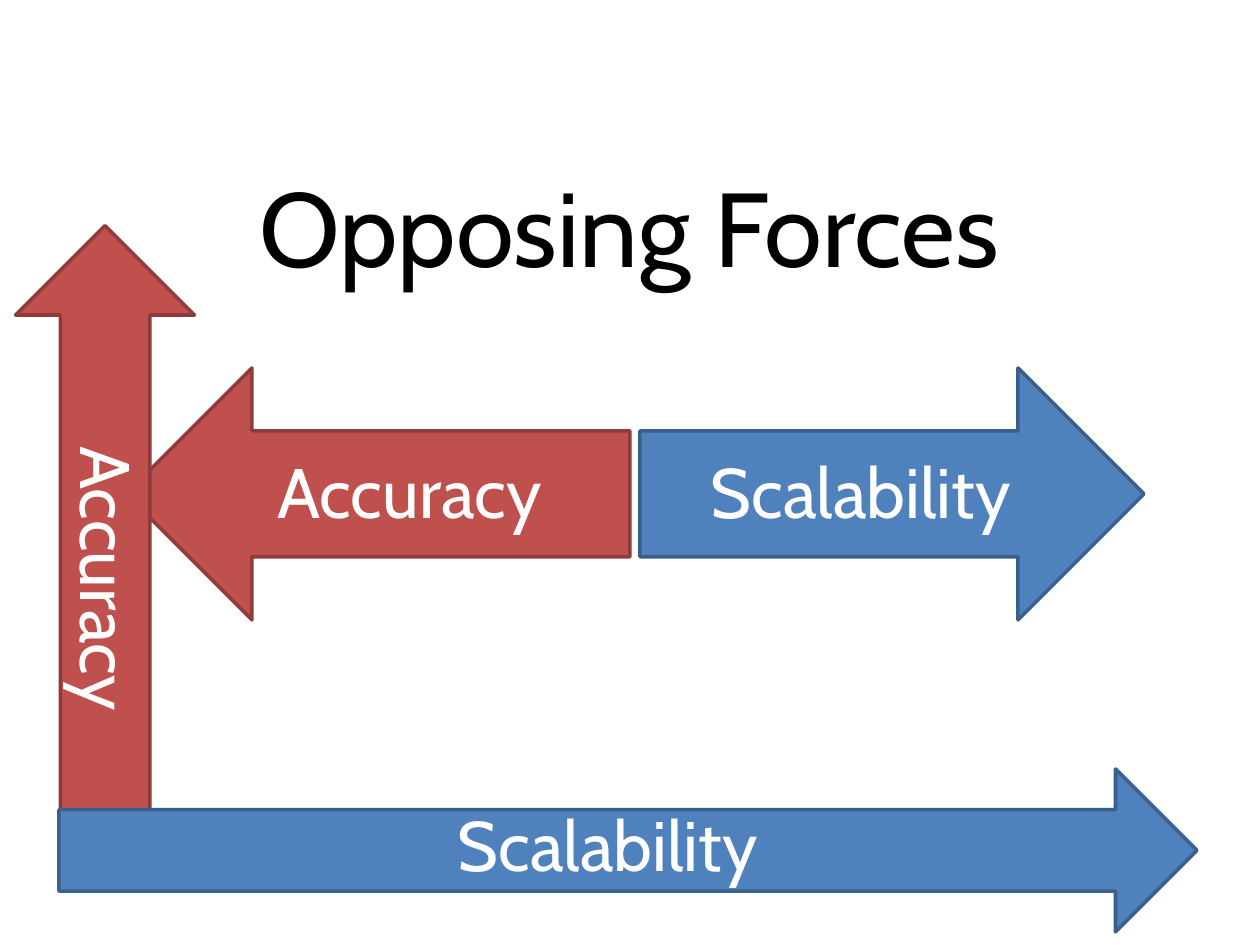
from pptx import Presentation
from pptx.dml.color import RGBColor
from pptx.enum.shapes import MSO_SHAPE
from pptx.enum.text import MSO_ANCHOR, PP_ALIGN
from pptx.util import Emu, Pt

EMU_PER_PX = 914400 / 126
FONT = "Cabin"
COLORS = {
    "text": "000000",
    "label": "FFFFFF",
    "accuracy": "C0504D",
    "accuracy_line": "8E3B39",
    "scalability": "4F81BD",
    "scalability_line": "3A5F8C",
}


def px(length):
    return Emu(round(length * EMU_PER_PX))


def color(name):
    return RGBColor.from_string(COLORS[name])


def write_text(shape, text, size, font_color, margins=(13, 0, 13, 6)):
    """Fill the shape with one centred line; margins are left, top, right, bottom."""
    frame = shape.text_frame
    frame.word_wrap = True
    frame.vertical_anchor = MSO_ANCHOR.MIDDLE
    (frame.margin_left, frame.margin_top,
     frame.margin_right, frame.margin_bottom) = map(px, margins)
    paragraph = frame.paragraphs[0]
    paragraph.alignment = PP_ALIGN.CENTER
    run = paragraph.add_run()
    run.text = text
    run.font.name = FONT
    run.font.size = Pt(size)
    run.font.color.rgb = color(font_color)


def add_arrow(shapes, kind, text, box, rotation=0, **text_format):
    """Add a labelled arrow coloured by its force; box is before rotation."""
    arrow = shapes.add_shape(kind, *map(px, box))
    arrow.rotation = rotation
    arrow.shadow.inherit = False
    force = text.lower()
    arrow.fill.solid()
    arrow.fill.fore_color.rgb = color(force)
    arrow.line.color.rgb = color(f"{force}_line")
    arrow.line.width = Pt(2)
    write_text(arrow, text, size=40, font_color="label", **text_format)


def add_title(slide, left, top, width, height):
    title = slide.shapes.title
    title.left, title.top, title.width, title.height = map(px, (left, top, width, height))
    write_text(title, "Opposing Forces", size=60, font_color="text",
               margins=(13, 6, 13, 6))


def add_opposing_arrows(slide, left, top, width, height, gap=10):
    arrow_width = (width - gap) // 2
    add_arrow(slide.shapes, MSO_SHAPE.LEFT_ARROW, "Accuracy",
              (left, top, arrow_width, height))
    add_arrow(slide.shapes, MSO_SHAPE.RIGHT_ARROW, "Scalability",
              (left + arrow_width + gap, top, arrow_width, height))


def add_axes(slide, left, top, width, height):
    """Group an upright arrow and a level arrow that starts at its shaft's edge."""
    thickness, length, level_height = 179, 662, 163
    shaft_edge = thickness // 4
    group = slide.shapes.add_group_shape()
    turn_offset = (length - thickness) // 2
    add_arrow(group.shapes, MSO_SHAPE.LEFT_ARROW, "Accuracy",
              (left - turn_offset, top + turn_offset, length, thickness),
              rotation=90)
    add_arrow(group.shapes, MSO_SHAPE.RIGHT_ARROW, "Scalability",
              (left + shaft_edge, top + height - level_height,
               width - shaft_edge, level_height),
              margins=(13, 0, 13, 13))


def main():
    presentation = Presentation()
    presentation.slide_width = px(1260)
    presentation.slide_height = px(945)
    slide = presentation.slides.add_slide(presentation.slide_layouts[5])
    add_title(slide, 62, 147, 1134, 158)
    add_opposing_arrows(slide, 126, 368, 1018, 252)
    add_axes(slide, 15, 226, 1182, 706)
    presentation.save("out.pptx")


if __name__ == "__main__":
    main()
